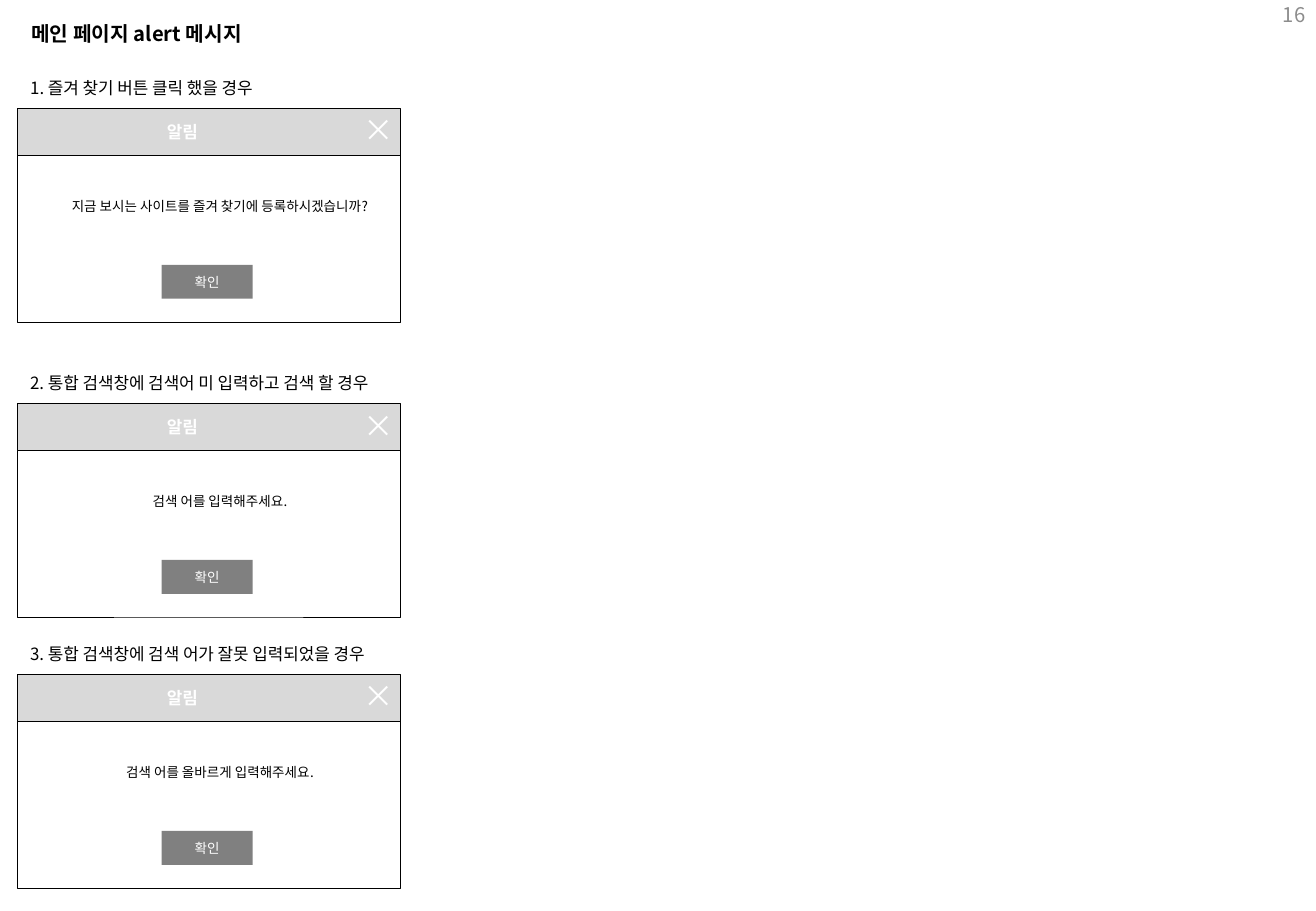
from lxml import etree
from pptx import Presentation
from pptx.dml.color import RGBColor
from pptx.enum.shapes import MSO_SHAPE
from pptx.enum.text import MSO_ANCHOR, MSO_AUTO_SIZE, PP_ALIGN
from pptx.oxml.ns import qn
from pptx.util import Inches, Pt

RECTANGLE = MSO_SHAPE.RECTANGLE
MIDDLE, TOP = MSO_ANCHOR.MIDDLE, MSO_ANCHOR.TOP
LEFT, CENTER, RIGHT = PP_ALIGN.LEFT, PP_ALIGN.CENTER, PP_ALIGN.RIGHT
GROW = MSO_AUTO_SIZE.SHAPE_TO_FIT_TEXT

FONT = "Noto Sans CJK KR"
BLACK, WHITE = "000000", "FFFFFF"
HEADER_GRAY, BUTTON_GRAY, NUMBER_GRAY = "D9D9D9", "808080", "8C8C8C"

# Top of the caption, width of the caption, caption, message
ALERTS = [
    (0.59, 2.29, "1. 즐겨 찾기 버튼 클릭 했을 경우",
     "지금 보시는 사이트를 즐겨 찾기에 등록하시겠습니까?"),
    (3.02, 3.37, "2. 통합 검색창에 검색어 미 입력하고 검색 할 경우",
     "검색 어를 입력해주세요."),
    (5.25, 3.37, "3. 통합 검색창에 검색 어가 잘못 입력되었을 경우",
     "검색 어를 올바르게 입력해주세요."),
]


def color(value):
    return RGBColor.from_string(value)


def write(box, text, size, ink, align=LEFT, anchor=TOP, bold=False):
    frame = box.text_frame
    frame.text = text
    frame.vertical_anchor = anchor
    para = frame.paragraphs[0]
    para.alignment = align
    span = para.runs[0]
    span.font.size = Pt(size)
    span.font.bold = bold
    span.font.color.rgb = color(ink)
    span.font.name = FONT
    # Korean letters take the East Asian typeface
    etree.SubElement(span.font._element, qn("a:ea"), typeface=FONT)


def add_label(page, place, text, size, ink=BLACK, wrap=True, grow=True, **style):
    box = page.shapes.add_textbox(*map(Inches, place))
    write(box, text, size, ink, **style)
    box.text_frame.word_wrap = wrap
    if grow:
        box.text_frame.auto_size = GROW
    return box


def add_panel(page, place, fill=None, outlined=True):
    panel = page.shapes.add_shape(RECTANGLE, *map(Inches, place))
    panel.shadow.inherit = False
    if fill:
        panel.fill.solid()
        panel.fill.fore_color.rgb = color(fill)
    else:
        panel.fill.background()
    if outlined:
        panel.line.color.rgb = color(BLACK)
        panel.line.width = Pt(0.25)
    else:
        panel.line.fill.background()
    return panel


def add_alert(page, top, caption_width, caption, message):
    # Window body and title bar
    add_panel(page, (0.14, top + 0.68, 3.15, 1.38))
    header = add_panel(page, (0.14, top + 0.3, 3.15, 0.39), HEADER_GRAY)
    write(header, "알림", 10, WHITE, align=CENTER, anchor=MIDDLE, bold=True)
    frame = header.text_frame
    frame.margin_left = Inches(0.04)
    frame.margin_right = Inches(0.47)

    # Close mark, message, button and caption
    add_label(page, (2.89, top + 0.28, 0.35, 0.4), "×", 18, WHITE)
    add_label(page, (0.14, top + 0.99, 3.34, 0.24), message, 8, align=CENTER)
    button = add_panel(page, (1.33, top + 1.59, 0.75, 0.28), BUTTON_GRAY, outlined=False)
    write(button, "확인", 8, WHITE, align=CENTER, anchor=MIDDLE)
    add_label(page, (0.15, top, caption_width, 0.27), caption, 10, wrap=False)


def main():
    deck = Presentation()
    deck.slide_width, deck.slide_height = Inches(10.83), Inches(7.5)
    page = deck.slides.add_slide(deck.slide_layouts[6])

    # Page number and title
    add_label(page, (10.05, 0, 0.79, 0.24), "16", 12, NUMBER_GRAY,
              grow=False, align=RIGHT, anchor=MIDDLE)
    add_label(page, (0.16, 0.13, 2.15, 0.3), "메인 페이지 alert 메시지", 12,
              wrap=False, bold=True)

    # Alert windows
    for alert in ALERTS:
        add_alert(page, *alert)

    deck.save("out.pptx")


if __name__ == "__main__":
    main()
